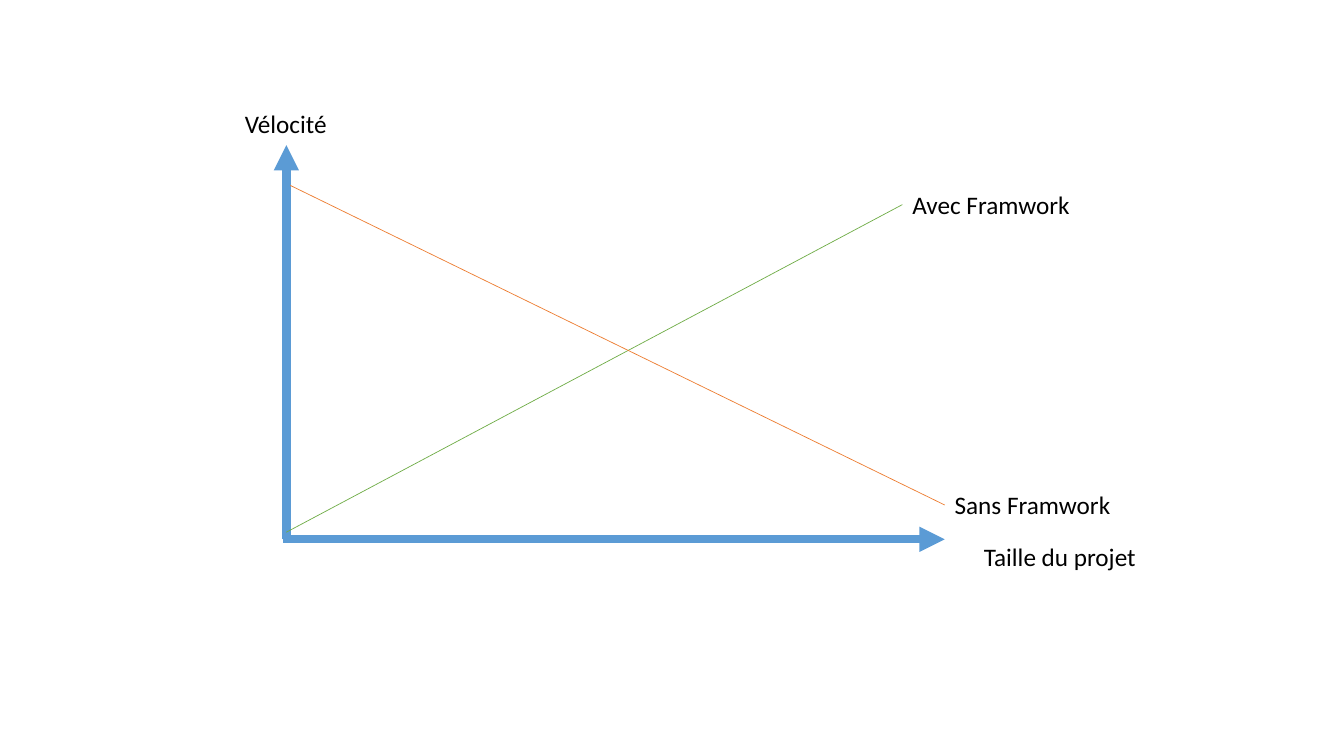
from typing import NamedTuple

from lxml.etree import SubElement
from pptx import Presentation
from pptx.dml.color import RGBColor
from pptx.enum.shapes import MSO_CONNECTOR
from pptx.enum.text import MSO_AUTO_SIZE
from pptx.oxml.ns import qn
from pptx.util import Inches, Pt

BLUE, GREEN, ORANGE, BLACK = "5B9BD5", "70AD47", "ED7D31", "000000"
ORIGIN_X, ORIGIN_Y, AXIS_END_X = 2.84, 5.35, 9.37
LABEL_HEIGHT = 0.4


class Line(NamedTuple):
    start: tuple[float, float]
    end: tuple[float, float]
    color: str
    width: float
    arrow: bool = False


class Label(NamedTuple):
    text: str
    left: float
    top: float
    width: float


AXES = [
    Line((ORIGIN_X, ORIGIN_Y), (ORIGIN_X, 1.44), BLUE, 6, True),
    Line((2.81, ORIGIN_Y), (AXIS_END_X, ORIGIN_Y), BLUE, 6, True),
]
WITH_FRAMEWORK = Line((ORIGIN_X, 5.28), (8.95, 2.03), GREEN, 0.5)
WITHOUT_FRAMEWORK = Line((2.88, 1.84), (AXIS_END_X, 5.01), ORANGE, 0.5)


def rgb(color: str) -> RGBColor:
    return RGBColor.from_string(color)


def draw_line(slide, line: Line) -> None:
    points = [Inches(value) for value in (*line.start, *line.end)]
    connector = slide.shapes.add_connector(MSO_CONNECTOR.STRAIGHT, *points)
    connector.line.color.rgb = rgb(line.color)
    connector.line.width = Pt(line.width)
    if line.arrow:
        outline = connector.line._get_or_add_ln()
        SubElement(outline, qn("a:tailEnd"), type="triangle")
    SubElement(connector._element.spPr, qn("a:effectLst"))


def draw_label(slide, label: Label) -> None:
    bounds = (label.left, label.top, label.width, LABEL_HEIGHT)
    shape = slide.shapes.add_textbox(*[Inches(value) for value in bounds])
    frame = shape.text_frame
    frame.word_wrap = False
    frame.auto_size = MSO_AUTO_SIZE.SHAPE_TO_FIT_TEXT
    run = frame.paragraphs[0].add_run()
    run.text = label.text
    for name, value in {"name": "Calibri", "size": Pt(18)}.items():
        setattr(run.font, name, value)
    run.font.color.rgb = rgb(BLACK)


def end_label(text: str, line: Line, width: float) -> Label:
    """Centre a label vertically on the right end of a line."""
    x, y = line.end
    return Label(text, x, y - LABEL_HEIGHT / 2, width)


presentation = Presentation()
presentation.slide_width = Inches(13.33)
presentation.slide_height = Inches(7.5)
slide = presentation.slides.add_slide(presentation.slide_layouts[6])

# Axes and velocity curves
for line in [*AXES, WITH_FRAMEWORK, WITHOUT_FRAMEWORK]:
    draw_line(slide, line)

# Axis titles and curve names
for label in [
    Label("Vélocité", 2.33, 1.03, 1.02),
    Label("Taille du projet", 9.66, 5.32, 1.73),
    end_label("Avec Framwork", WITH_FRAMEWORK, 1.78),
    end_label("Sans Framwork", WITHOUT_FRAMEWORK, 1.76),
]:
    draw_label(slide, label)

presentation.save("out.pptx")
